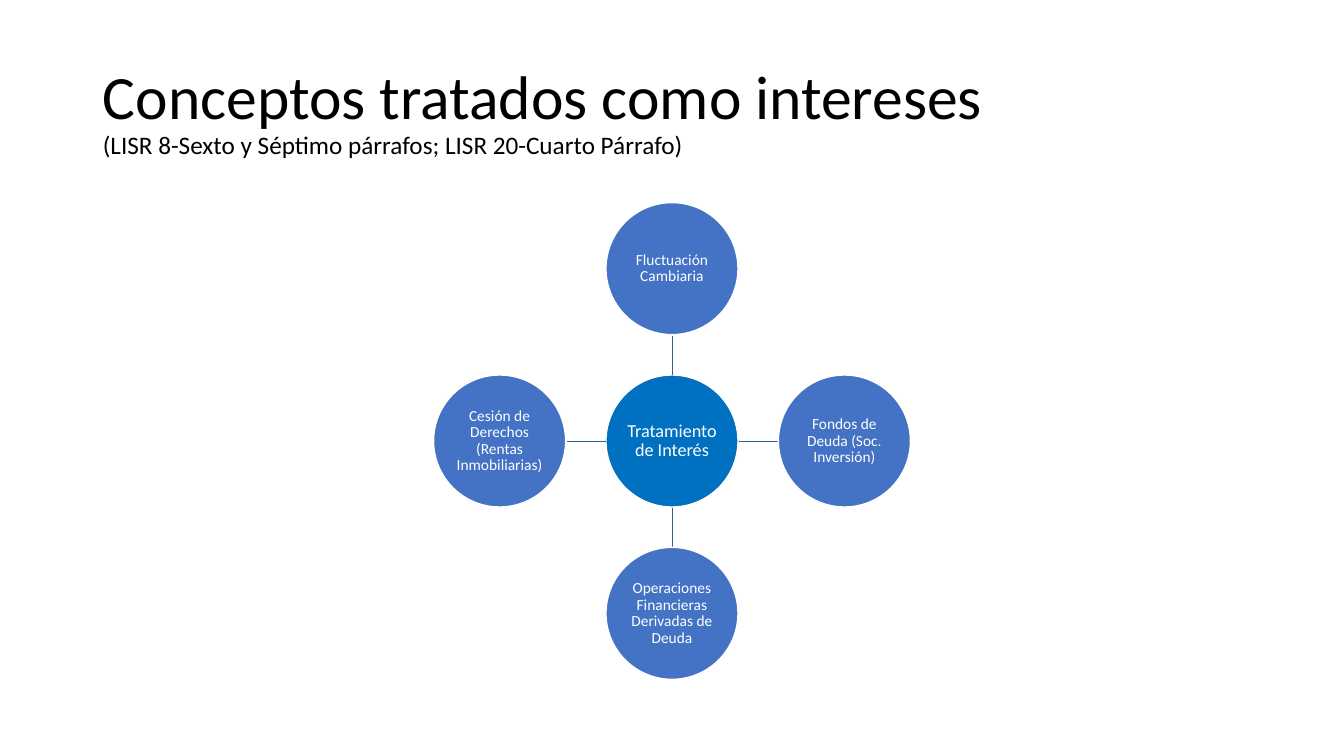
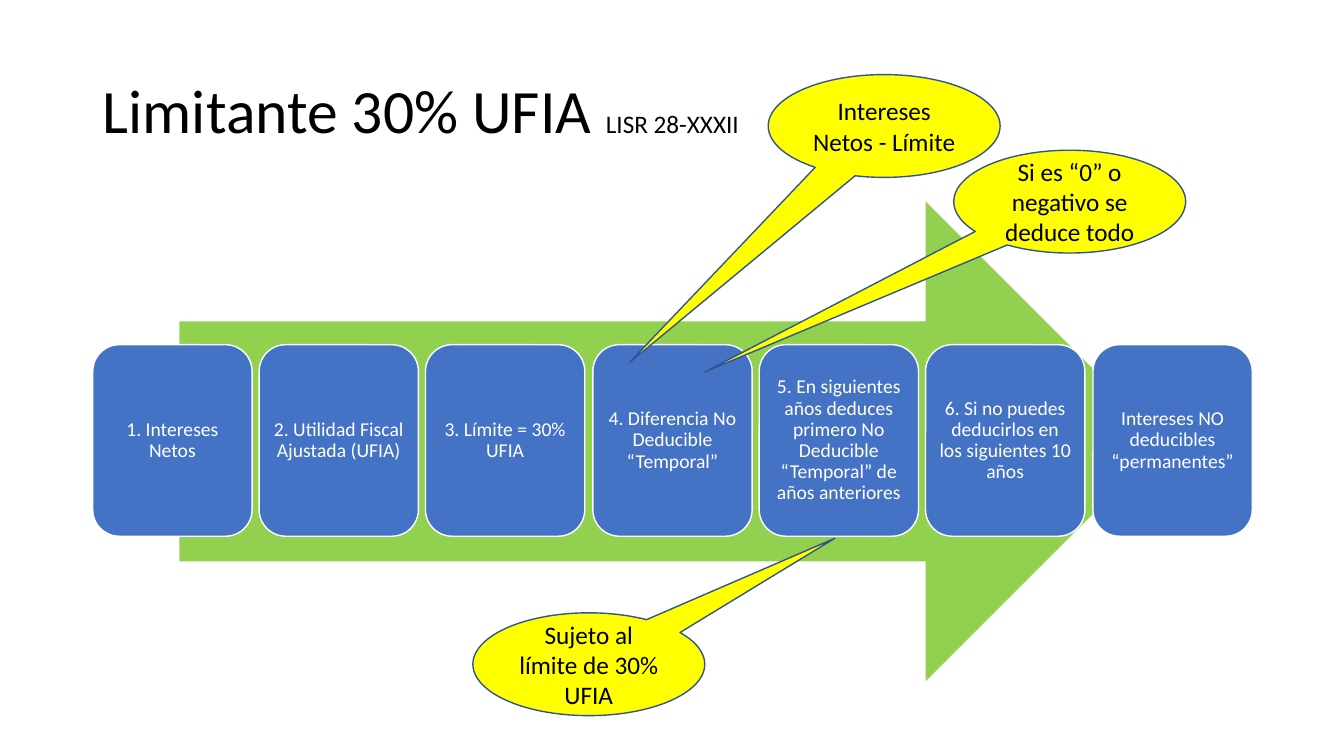
import lxml.etree
import pptx
import pptx.dml.color
import pptx.enum.shapes
import pptx.enum.text
import pptx.oxml.ns
import pptx.util

SHAPE = pptx.enum.shapes.MSO_SHAPE
ALIGN = pptx.enum.text.PP_ALIGN
COLORS = {
    "black": "000000", "white": "FFFFFF", "blue": "4472C4", "hub": "0070C0",
    "link": "365B9D", "green": "92D050", "yellow": "FFFF00", "outline": "325491",
}


def px(n):
    """Turn px, 100 to the inch, into EMU."""
    return pptx.util.Emu(n * 9144)


def rgb(name):
    """Look up a named colour."""
    return pptx.dml.color.RGBColor.from_string(COLORS[name])


def write(p, text, size=18, color="black", align=ALIGN.CENTER, spacing=1.0):
    """Add a formatted run to a paragraph."""
    p.alignment = align
    p.line_spacing = spacing
    r = p.add_run()
    r.text = text
    r.font.name = "Calibri"
    r.font.size = pptx.util.Pt(size)
    r.font.color.rgb = rgb(color)


class Deck:
    """Hold the presentation style and the current slide."""

    def __init__(self):
        """Start an empty widescreen presentation."""
        self.prs = pptx.Presentation()
        self.prs.slide_width, self.prs.slide_height = px(1333), px(750)

    def slide(self, title, note, stacked=False):
        """Add a slide with a title and a small note after or below it."""
        self.s = self.prs.slides.add_slide(self.prs.slide_layouts[5])
        sp = self.s.shapes.title
        sp.left, sp.top, sp.width, sp.height = px(92), px(40), px(1150), px(145)
        tf = sp.text_frame
        tf.vertical_anchor = pptx.enum.text.MSO_ANCHOR.MIDDLE
        tf.auto_size = pptx.enum.text.MSO_AUTO_SIZE.NONE
        p = tf.paragraphs[0]
        write(p, title, size=44, align=ALIGN.LEFT, spacing=0.9)
        if stacked:
            p.add_line_break()
        write(p, note, align=ALIGN.LEFT, spacing=0.9)

    def shape(self, kind, x, y, w, h, fill, line=None):
        """Add a flat preset shape."""
        sp = self.s.shapes.add_shape(kind, px(x), px(y), px(w), px(h))
        sp.shadow.inherit = False
        sp.fill.solid()
        sp.fill.fore_color.rgb = rgb(fill)
        if line:
            sp.line.color.rgb = rgb(line)
            sp.line.width = pptx.util.Pt(1)
        else:
            sp.line.fill.background()
        return sp

    def node(self, kind, x, y, w, h, text, size, inset, fill="blue"):
        """Add a white-edged diagram shape with white text."""
        tf = self.shape(kind, x, y, w, h, fill, "white").text_frame
        tf.word_wrap = True
        tf.margin_left = tf.margin_right = tf.margin_top = tf.margin_bottom = px(inset)
        write(tf.paragraphs[0], text, size=size, color="white", spacing=0.9)

    def line(self, x1, y1, x2, y2):
        """Add a straight link."""
        c = self.s.shapes.add_connector(
            pptx.enum.shapes.MSO_CONNECTOR.STRAIGHT, px(x1), px(y1), px(x2), px(y2))
        c.line.color.rgb = rgb("link")
        c.line.width = pptx.util.Pt(1)
        lxml.etree.SubElement(c._element.spPr, pptx.oxml.ns.qn("a:effectLst"))

    def callout(self, x, y, tip_x, tip_y, text):
        """Add a yellow balloon whose tail ends at the tip."""
        w, h = 230, 102
        sp = self.shape(SHAPE.OVAL_CALLOUT, x, y, w, h, "yellow", "outline")
        sp.adjustments[0] = (tip_x - x) / w - 0.5
        sp.adjustments[1] = (tip_y - y) / h - 0.5
        sp.text_frame.word_wrap = True
        write(sp.text_frame.paragraphs[0], text)


def concepts(deck):
    """Build the radial diagram of interest concepts."""
    deck.slide("Conceptos tratados como intereses",
               "(LISR 8-Sexto y Séptimo párrafos; LISR 20-Cuarto Párrafo)", stacked=True)
    x, y, size, radius, step = 601, 372, 131, 66, 171
    cx, cy = x + radius, y + radius
    deck.node(SHAPE.OVAL, x, y, size, size, "Tratamiento de Interés", 13, 1, "hub")
    for dx, dy, text in (
        (0, -1, "Fluctuación Cambiaria"),
        (1, 0, "Fondos de Deuda (Soc. Inversión)"),
        (0, 1, "Operaciones Financieras Derivadas de Deuda"),
        (-1, 0, "Cesión de Derechos (Rentas Inmobiliarias)"),
    ):
        far = step - radius
        deck.line(cx + dx * radius, cy + dy * radius, cx + dx * far, cy + dy * far)
        deck.node(SHAPE.OVAL, x + dx * step, y + dy * step, size, size, text, 11, 1)


def limit(deck):
    """Build the arrow process with its callouts."""
    deck.slide("Limitante 30% UFIA ", "LISR 28-XXXII")
    deck.shape(SHAPE.RIGHT_ARROW, 178, 200, 978, 476, "green")
    steps = (
        "1. Intereses Netos",
        "2. Utilidad Fiscal Ajustada (UFIA)",
        "3. Límite = 30% UFIA",
        "4. Diferencia No Deducible “Temporal”",
        "5. En siguientes años deduces primero No Deducible “Temporal” de años anteriores",
        "6. Si no puedes deducirlos en los siguientes 10 años",
        "Intereses NO deducibles “permanentes”",
    )
    first, last = 92, 1084
    for i, text in enumerate(steps):
        x = first + i * (last - first) // (len(steps) - 1)
        deck.node(SHAPE.ROUNDED_RECTANGLE, x, 342, 158, 190, text, 14, 6)
    deck.callout(469, 608, 828, 534, "Sujeto al límite de 30% UFIA")
    deck.callout(762, 74, 624, 360, "Intereses Netos - Límite")
    deck.callout(946, 149, 699, 369, "Si es “0” o negativo se deduce todo")


def main():
    """Build and save the slides."""
    deck = Deck()
    concepts(deck)
    limit(deck)
    deck.prs.save("out.pptx")


if __name__ == "__main__":
    main()
